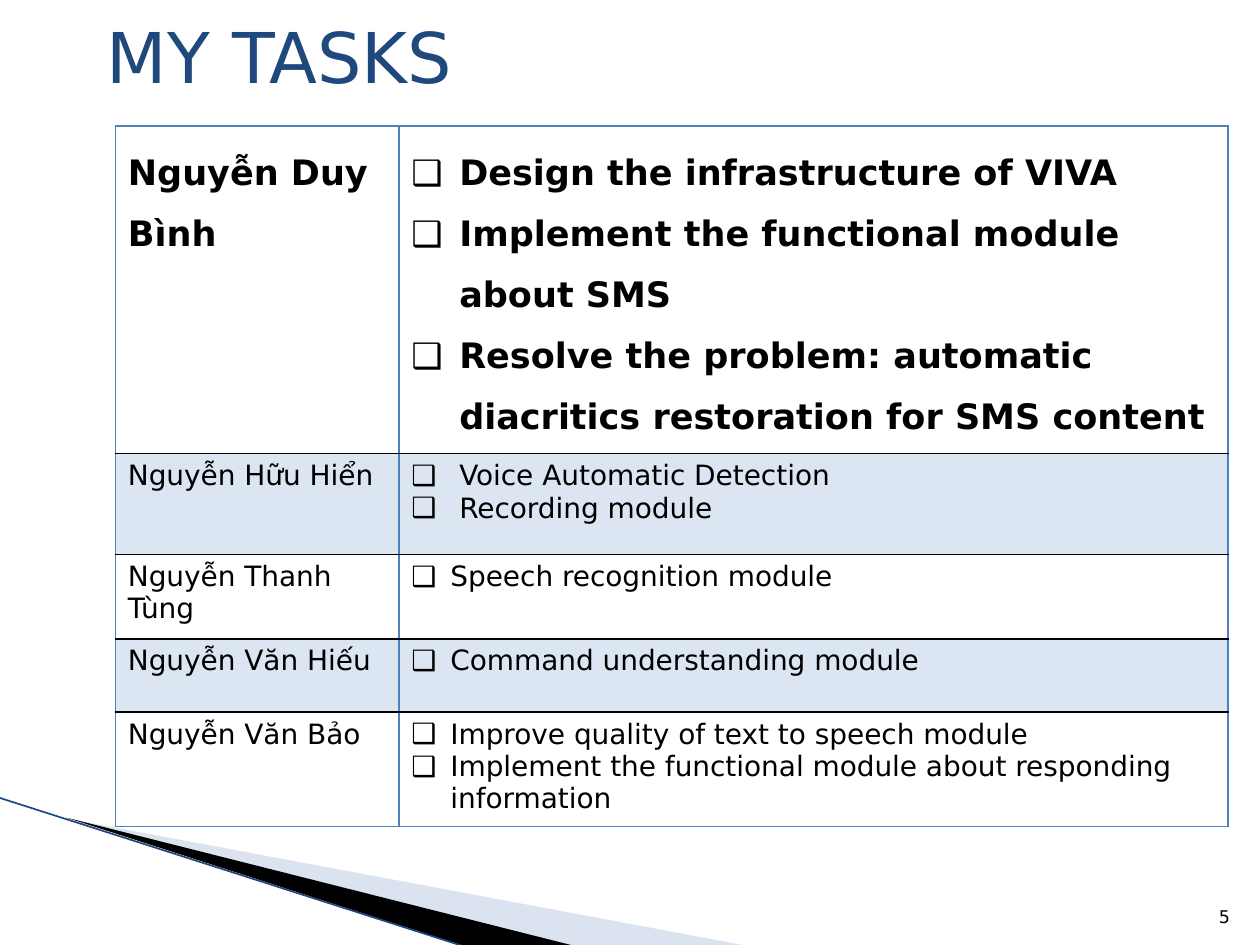
from lxml.etree import SubElement
from pptx import Presentation
from pptx.dml.color import RGBColor
from pptx.enum.shapes import MSO_CONNECTOR as Connector
from pptx.enum.text import MSO_ANCHOR as Anchor, PP_ALIGN as Align
from pptx.oxml.ns import qn
from pptx.util import Inches, Pt

FONT = "DejaVu Sans"
BLACK, BLUE, NAVY, PALE, TINT = "000000", "4F81BD", "1F497D", "A7B9DB", "DCE6F2"


def paint(fill, color, opacity=100):
    fill.solid()
    fill.fore_color.rgb = RGBColor.from_string(color)
    if opacity < 100:
        srgb = fill._xPr.find(".//" + qn("a:srgbClr"))
        SubElement(srgb, qn("a:alpha"), val=str(opacity * 1000))


def write(paragraph, text, size, color=BLACK, bold=False):
    paragraph.text = text
    font = paragraph.runs[0].font
    font.name, font.size, font.bold = FONT, Pt(size), bold
    paint(font.fill, color)


prs = Presentation()
prs.slide_width, prs.slide_height = Inches(10), Inches(7.5)
slide = prs.slides.add_slide(prs.slide_layouts[6])
shapes = slide.shapes

ribbons = [
    ([(0.55, 6.5), (5.95, 7.51), (4.56, 7.51)], PALE, 40),
    ([(0.53, 6.49), (4.57, 7.51), (3.72, 7.52)], BLACK, 100),
]
for corners, color, opacity in ribbons:
    start, *others = [(Inches(x), Inches(y)) for x, y in corners]
    outline = shapes.build_freeform(*start)
    outline.add_line_segments(others, close=True)
    ribbon = outline.convert_to_shape()
    ribbon.shadow.inherit = False
    ribbon.line.fill.background()
    paint(ribbon.fill, color, opacity)

edge = shapes.add_connector(
    Connector.STRAIGHT, Inches(-0.01), Inches(6.33), Inches(3.71), Inches(7.52))
edge.line.width = Pt(0.95)
paint(edge.line.fill, NAVY)
SubElement(edge._element.spPr, qn("a:effectLst"))

labels = [
    ("5", (9.46, 7.01, 0.4, 0.4), 10, BLACK, Align.RIGHT, Anchor.BOTTOM),
    ("MY TASKS", (0.75, 0.05, 8.33, 0.78), 40, NAVY, Align.LEFT, Anchor.MIDDLE),
]
for text, place, size, color, align, anchor in labels:
    frame = shapes.add_textbox(*map(Inches, place)).text_frame
    frame.word_wrap = True
    frame.vertical_anchor = anchor
    write(frame.paragraphs[0], text, size, color)
    frame.paragraphs[0].alignment = align

members = [
    ("Nguyễn Duy Bình", 2.52, 0.38, [
        "Design the infrastructure of VIVA",
        "Implement the functional module about SMS",
        "Resolve the problem: automatic diacritics restoration for SMS content"]),
    ("Nguyễn Hữu Hiển", 0.8, 0.38, ["Voice Automatic Detection", "Recording module"]),
    ("Nguyễn Thanh Tùng", 0.67, 0.31, ["Speech recognition module"]),
    ("Nguyễn Văn Hiếu", 0.58, 0.31, ["Command understanding module"]),
    ("Nguyễn Văn Bảo", 0.91, 0.31, [
        "Improve quality of text to speech module",
        "Implement the functional module about responding information"]),
]
total_height = sum(height for _, height, _, _ in members)
tasks_table = shapes.add_table(
    len(members), 2, Inches(0.915), Inches(1), Inches(8.83), Inches(total_height)).table
tasks_table.first_row = tasks_table.horz_banding = False
for column, width in zip(tasks_table.columns, (2.25, 6.58)):
    column.width = Inches(width)

last = len(members) - 1
for row, (member, height, indent, tasks) in enumerate(members):
    tasks_table.rows[row].height = Inches(height)
    leader = row == 0
    for col, lines in enumerate(([member], tasks)):
        cell = tasks_table.cell(row, col)
        frame = cell.text_frame
        for index, text in enumerate(lines):
            paragraph = frame.add_paragraph() if index else frame.paragraphs[0]
            write(paragraph, text, 20 if leader else 16, bold=leader)
            if leader:
                paragraph.line_spacing = 1.5
            if col == 1:
                props = paragraph._p.get_or_add_pPr()
                props.set("marL", str(Inches(indent)))
                props.set("indent", str(-Inches(indent)))
                SubElement(props, qn("a:buFont"), typeface=FONT)
                SubElement(props, qn("a:buChar"), char="❑")
        borders = {
            "L": BLUE,
            "R": BLUE,
            "T": BLUE if leader else BLACK,
            "B": BLUE if row == last else BLACK,
        }
        cell_props = cell._tc.get_or_add_tcPr()
        for side, color in borders.items():
            border = SubElement(cell_props, qn("a:ln" + side), w=str(Pt(1)))
            SubElement(SubElement(border, qn("a:solidFill")), qn("a:srgbClr"), val=color)
        if row % 2:
            paint(cell.fill, TINT)
        else:
            cell.fill.background()

prs.save("out.pptx")
